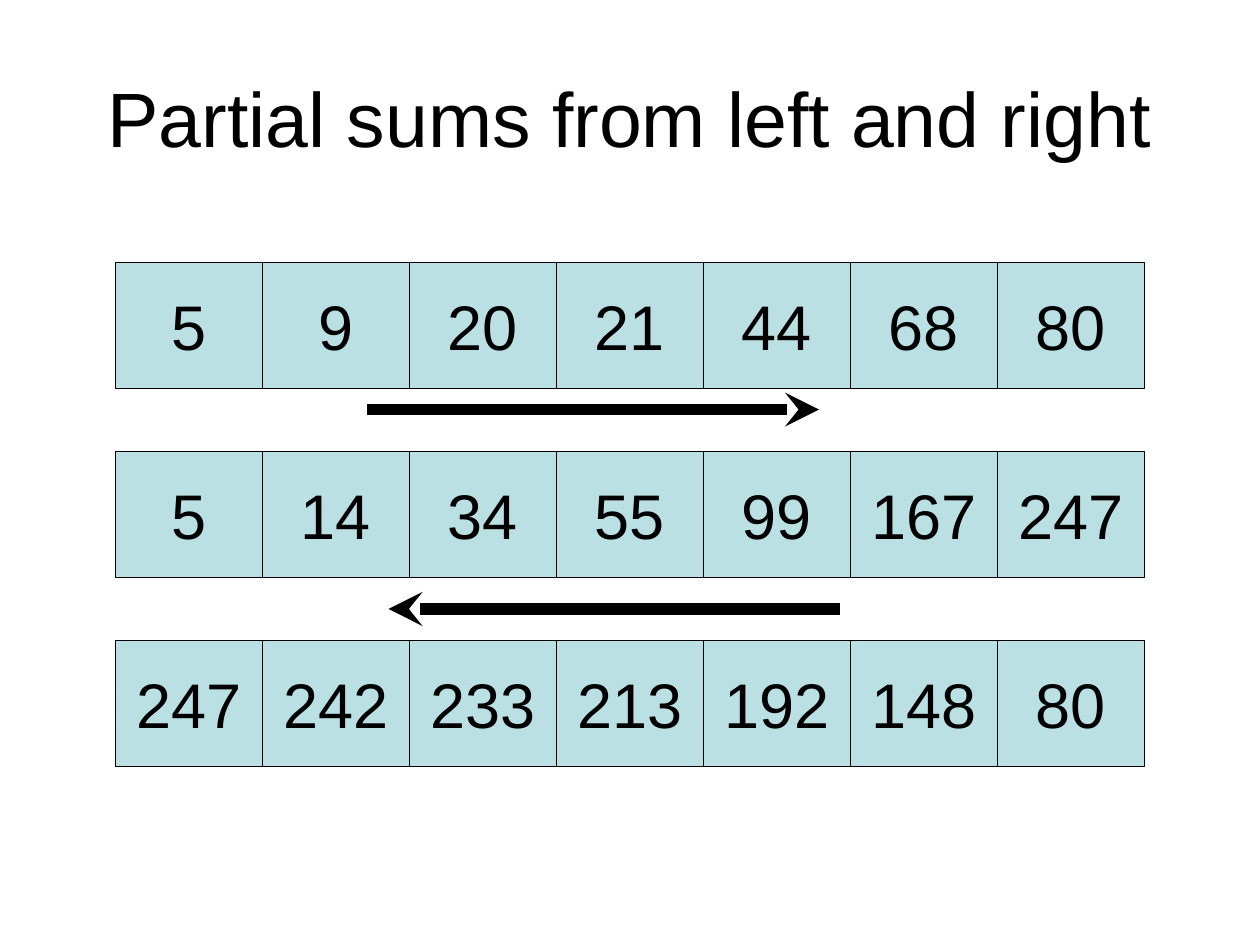
from dataclasses import dataclass
from itertools import accumulate
from typing import Any

from lxml import etree
from pptx import Presentation
from pptx.dml.color import RGBColor
from pptx.enum.shapes import MSO_CONNECTOR, MSO_SHAPE
from pptx.enum.text import MSO_ANCHOR, MSO_AUTO_SIZE, PP_ALIGN
from pptx.oxml.ns import qn
from pptx.util import Inches, Pt

RECTANGLE = MSO_SHAPE.RECTANGLE
STRAIGHT = MSO_CONNECTOR.STRAIGHT
MIDDLE = MSO_ANCHOR.MIDDLE
NO_AUTOFIT = MSO_AUTO_SIZE.NONE
CENTER = PP_ALIGN.CENTER

SLIDE_WIDTH, SLIDE_HEIGHT = Inches(10), Inches(7.5)
GRID_COLUMNS = 120
CELL_COLUMNS, CELL_ROWS = 14, 12
FIRST_COLUMN, FIRST_ROW = 11, 25
ROW_PITCH = 18


@dataclass(frozen=True)
class Theme:
    ink: RGBColor = RGBColor(0x00, 0x00, 0x00)
    cell: RGBColor = RGBColor(0xBB, 0xE0, 0xE3)
    font: str = "Arial"
    title_size: Pt = Pt(44)
    number_size: Pt = Pt(36)
    border: Pt = Pt(0.75)
    arrow: Pt = Pt(6.5)


@dataclass(frozen=True)
class Sweep:
    left: int
    right: int
    row: int
    arrow_end: str


THEME = Theme()
HEADING = "Partial sums from left and right"
NUMBERS = [5, 9, 20, 21, 44, 68, 80]
FROM_LEFT = list(accumulate(NUMBERS))
FROM_RIGHT = list(accumulate(reversed(NUMBERS)))[::-1]
FROM_RIGHT_ROWS = [NUMBERS, FROM_LEFT, [247, 242, 233, 213, 192, 148, 80]]
SWEEPS = [Sweep(35, 78, 39, "a:tailEnd"), Sweep(37, 80, 58, "a:headEnd")]


def grid(units: float) -> int:
    return round(SLIDE_WIDTH * units / GRID_COLUMNS)


def apply(target: Any, values: dict[str, Any]) -> None:
    for attribute, value in values.items():
        setattr(target, attribute, value)


def write(shape: Any, content: str, size: Pt, wrap: bool) -> None:
    frame = shape.text_frame
    frame.text = content
    apply(frame, {"auto_size": NO_AUTOFIT, "word_wrap": wrap, "vertical_anchor": MIDDLE})
    paragraph = frame.paragraphs[0]
    paragraph.alignment = CENTER
    font = paragraph.runs[0].font
    apply(font, {"name": THEME.font, "size": size})
    font.color.rgb = THEME.ink


def draw_heading(slide: Any) -> None:
    heading = slide.shapes.title
    apply(heading, {
        "left": round(SLIDE_WIDTH * 0.05),
        "top": round(SLIDE_HEIGHT * 0.04),
        "width": round(SLIDE_WIDTH * 0.9),
        "height": grid(15),
    })
    write(heading, HEADING, THEME.title_size, True)


def draw_numbers(slide: Any, numbers: list[int], row: int) -> None:
    for column, number in enumerate(numbers):
        cell = slide.shapes.add_shape(
            RECTANGLE,
            grid(FIRST_COLUMN + column * CELL_COLUMNS),
            grid(FIRST_ROW + row * ROW_PITCH),
            grid(CELL_COLUMNS),
            grid(CELL_ROWS),
        )
        cell.shadow.inherit = False
        cell.fill.solid()
        cell.fill.fore_color.rgb = THEME.cell
        cell.line.color.rgb = THEME.ink
        cell.line.width = THEME.border
        write(cell, str(number), THEME.number_size, False)


def draw_sweep(slide: Any, sweep: Sweep) -> None:
    arrow = slide.shapes.add_connector(
        STRAIGHT, grid(sweep.left), grid(sweep.row), grid(sweep.right), grid(sweep.row)
    )
    arrow.line.color.rgb = THEME.ink
    arrow.line.width = THEME.arrow
    properties = arrow._element.spPr
    etree.SubElement(properties.find(qn("a:ln")), qn(sweep.arrow_end), type="stealth")
    etree.SubElement(properties, qn("a:effectLst"))


def main() -> None:
    deck = Presentation()
    apply(deck, {"slide_width": SLIDE_WIDTH, "slide_height": SLIDE_HEIGHT})
    slide = deck.slides.add_slide(deck.slide_layouts[5])
    draw_heading(slide)
    for row, numbers in enumerate([NUMBERS, FROM_LEFT, FROM_RIGHT]):
        draw_numbers(slide, numbers, row)
    for sweep in SWEEPS:
        draw_sweep(slide, sweep)
    deck.save("out.pptx")


if __name__ == "__main__":
    main()
